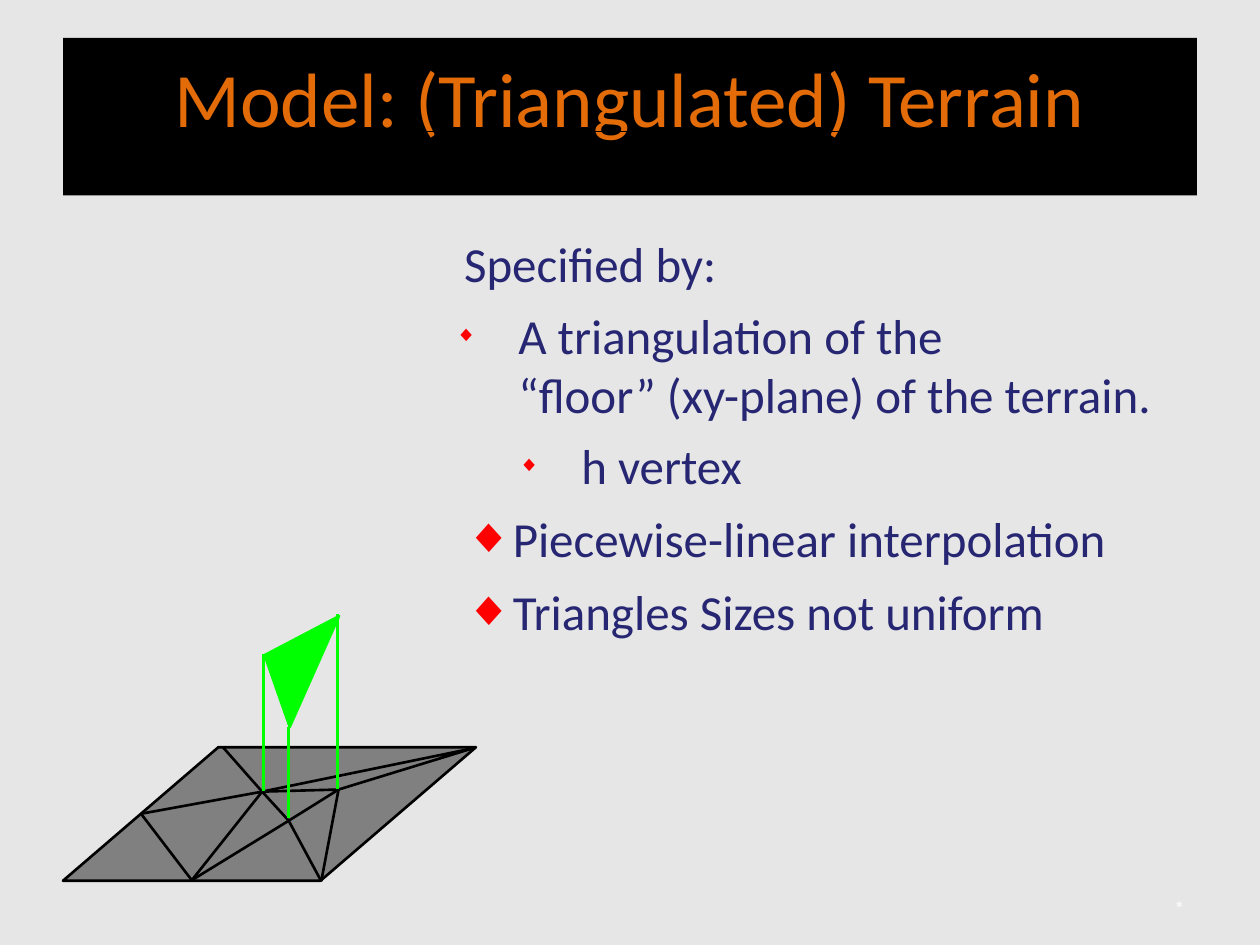
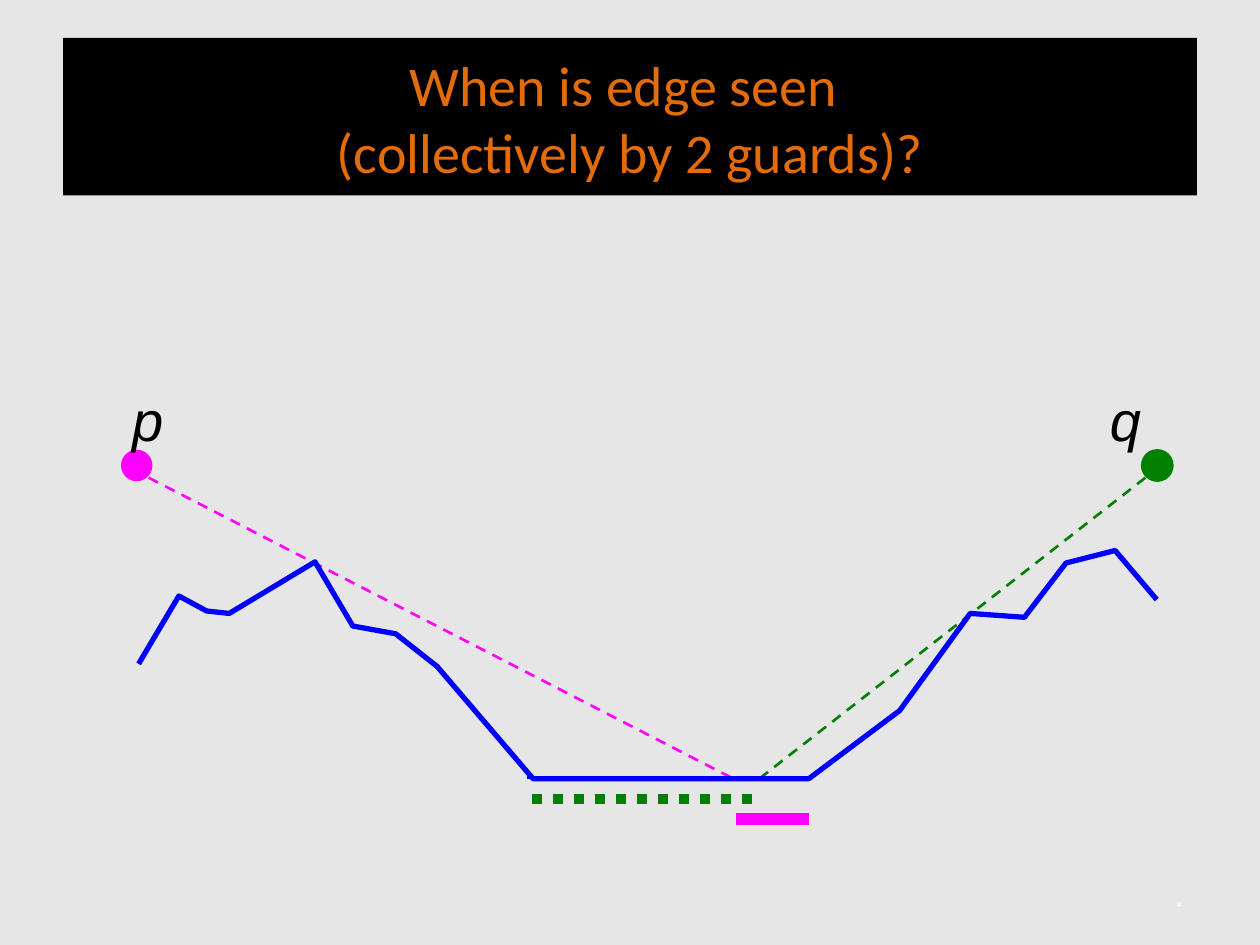
"""Two slides on triangulated terrains and the joint visibility of an edge."""
from lxml import etree
from pptx import Presentation
from pptx import util as u
from pptx.dml.color import RGBColor
from pptx.enum import dml, shapes, text
from pptx.oxml import ns

PAPER = RGBColor(0xE6, 0xE6, 0xE6)
BLACK = RGBColor(0, 0, 0)
WHITE = RGBColor(0xFF, 0xFF, 0xFF)
ORANGE = RGBColor(0xE3, 0x6C, 0x09)
NAVY = RGBColor(0x26, 0x26, 0x73)
RED = RGBColor(0xFF, 0, 0)
GREY = RGBColor(0x80, 0x80, 0x80)
LIME = RGBColor(0, 0xFF, 0)
GREEN = RGBColor(0, 0x80, 0)
MAGENTA = RGBColor(0xFF, 0, 0xFF)
BLUE = RGBColor(0, 0, 0xFF)

DASH = dml.MSO_LINE.DASH
DOT = dml.MSO_LINE.ROUND_DOT
BOX_KEYS = ("left", "top", "width", "height")
MARGINS = ("margin_left", "margin_top", "margin_right", "margin_bottom")


def write(p, words, color, **fmt):
    """Put words into a paragraph and format its runs."""
    p.text = words
    for r in p.runs:
        r.font.color.rgb = color
        for key, value in fmt.items():
            setattr(r.font, key, value)


def draw(s, pts, color, width=1.5, dash=None, fill=None, close=False):
    """Draw a connector through two points, or a freeform through more."""
    pts = [(u.Pt(x), u.Pt(y)) for x, y in pts]
    if len(pts) == 2:
        sp = s.shapes.add_connector(shapes.MSO_CONNECTOR.STRAIGHT, *pts[0], *pts[1])
        etree.SubElement(sp.line._get_or_add_ln().getparent(), ns.qn("a:effectLst"))
    else:
        fb = s.shapes.build_freeform(*pts[0])
        fb.add_line_segments(pts[1:], close=close)
        sp = fb.convert_to_shape()
        sp.shadow.inherit = False
        if fill is None:
            sp.fill.background()
        else:
            sp.fill.solid()
            sp.fill.fore_color.rgb = fill
    sp.line.color.rgb = color
    sp.line.width = u.Pt(width)
    if dash:
        sp.line.dash_style = dash


prs = Presentation()
prs.slide_width, prs.slide_height = u.Pt(720), u.Pt(540)
bg = prs.slide_master.background.fill
bg.solid()
bg.fore_color.rgb = PAPER

slides = []
for layout, title, size in (
    (1, "Model: (Triangulated) Terrain", 44),
    (5, "When is edge seen \v(collectively by 2 guards)?", 32),
):
    s = prs.slides.add_slide(prs.slide_layouts[layout])
    slides.append(s)
    sp = s.shapes.title
    for key, value in zip(BOX_KEYS, (36, 21.6, 648, 90)):
        setattr(sp, key, u.Pt(value))
    sp.fill.solid()
    sp.fill.fore_color.rgb = BLACK
    tf = sp.text_frame
    for key in MARGINS:
        setattr(tf, key, u.Pt(7.2))
    tf.vertical_anchor = text.MSO_ANCHOR.TOP
    tf.auto_size = text.MSO_AUTO_SIZE.NONE
    p = tf.paragraphs[0]
    p.alignment = text.PP_ALIGN.CENTER
    write(p, title, ORANGE, size=u.Pt(size), name="Calibri")

    tf = s.shapes.add_textbox(*map(u.Pt, (663.8, 509, 21, 20))).text_frame
    tf.word_wrap = True
    tf.vertical_anchor = text.MSO_ANCHOR.MIDDLE
    write(tf.paragraphs[0], "*", WHITE, size=u.Pt(12), name="Calibri")

s = slides[0]
sp = s.placeholders[1]
for key, value in zip(BOX_KEYS, (242, 126, 466.5, 318)):
    setattr(sp, key, u.Pt(value))
tf = sp.text_frame
for key in MARGINS:
    setattr(tf, key, u.Pt(7.2))
tf.auto_size = text.MSO_AUTO_SIZE.NONE
items = (
    ("Specified by:", 0, 16, 0, 0),
    ("A triangulation of the \v“floor” (xy-plane) of the terrain.", 0, 47, -36, 44),
    ("h vertex", 1, 83, -36, 44),
    ("Piecewise-linear interpolation", 0, 27, -11, 100),
    ("Triangles Sizes not uniform", 0, 27, -11, 100),
)
for i, (words, level, left, indent, bullet) in enumerate(items):
    p = tf.add_paragraph() if i else tf.paragraphs[0]
    write(p, words, NAVY, size=u.Pt(28), name="Calibri")
    p.level = level
    p.space_before = u.Pt(8 - level)
    pPr = p._p.get_or_add_pPr()
    pPr.set("marL", str(u.Pt(left)))
    pPr.set("indent", str(u.Pt(indent)))
    if bullet:
        clr = etree.SubElement(pPr, ns.qn("a:buClr"))
        etree.SubElement(clr, ns.qn("a:srgbClr"), val=str(RED))
        etree.SubElement(pPr, ns.qn("a:buSzPct"), val=str(bullet * 1000))
        etree.SubElement(pPr, ns.qn("a:buFont"), typeface="Arial")
        etree.SubElement(pPr, ns.qn("a:buChar"), char="◆")
    else:
        etree.SubElement(pPr, ns.qn("a:buNone"))

sp = s.shapes.add_shape(
    shapes.MSO_SHAPE.PARALLELOGRAM, *map(u.Pt, (36, 427, 236, 76.3)))
sp.adjustments[0] = 1.164
sp.shadow.inherit = False
sp.fill.solid()
sp.fill.fore_color.rgb = GREY
sp.line.color.rgb = BLACK
sp.line.width = u.Pt(1.5)

west, north, far = (80.6, 465), (127.4, 427), (270, 427.7)
south, corner = (109.6, 503), (183.6, 503.6)
hub, low, east = (149.8, 452.4), (165, 469), (193.5, 451.2)
for edge in ((west, south), (west, hub), (hub, south), (hub, north),
             (corner, low), (south, low)):
    draw(s, edge, BLACK)
draw(s, (hub, low, east), BLACK, fill=GREY, close=True)
draw(s, (corner, east, far, hub), BLACK)

for x, top, bottom in ((150.5, 373.7, 452.2), (164.9, 415.4, 467.3), (193, 350.6, 450.7)):
    draw(s, ((x, top), (x, bottom)), LIME)
draw(s, ((151.2, 374.4), (165.6, 415.4), (193.7, 352.1)), LIME, fill=LIME, close=True)

tbl = s.shapes.add_table(1, 2, *map(u.Pt, (75, 75, 570, 30.5))).table
tbl.first_row = tbl.horz_banding = False
for cell in tbl.iter_cells():
    cell.fill.background()
    tcPr = cell._tc.get_or_add_tcPr()
    for i, side in enumerate("LRTB"):
        ln = etree.Element(ns.qn("a:ln" + side), w=str(u.Pt(0.75)))
        fill = etree.SubElement(ln, ns.qn("a:solidFill"))
        etree.SubElement(fill, ns.qn("a:srgbClr"), val=str(BLACK))
        tcPr.insert(i, ln)

s = slides[1]
for x, color in ((69.1, MAGENTA), (652.3, GREEN)):
    sp = s.shapes.add_shape(shapes.MSO_SHAPE.OVAL, *map(u.Pt, (x, 257, 18, 18)))
    sp.shadow.inherit = False
    sp.fill.solid()
    sp.fill.fore_color.rgb = color
    sp.line.color.rgb = color
    sp.line.width = u.Pt(0.75)
    if color == MAGENTA:
        sp.line.fill.background()

draw(s, ((85, 273), (420.5, 445.7)), MAGENTA, dash=DASH)
draw(s, ((654.5, 273), (431.3, 447)), GREEN, dash=DASH)
draw(s, ((301, 444.2), (462.2, 444.2)), BLUE)
terrain = (
    (79.2, 379.4), (102.2, 340.6), (118.1, 349.2), (131, 350.6),
    (180, 321.1), (201.6, 357.8), (226.1, 362.2), (249.8, 380.9),
    (304.6, 445), (462.2, 445), (514.1, 406.1), (554.4, 350.6),
    (585.4, 352.8), (609.1, 321.8), (637.2, 314.6), (661, 342.7),
)
draw(s, terrain, BLUE, 3)
draw(s, ((303.8, 456.5), (434.2, 456.5)), GREEN, 6, DOT)
draw(s, ((462.2, 468), (420.5, 468)), MAGENTA, 7)

for guard, x in (("p", 68.4), ("q", 627.1)):
    tf = s.shapes.add_textbox(*map(u.Pt, (x, 216.7, 40.3, 46))).text_frame
    tf.word_wrap = False
    tf.auto_size = text.MSO_AUTO_SIZE.SHAPE_TO_FIT_TEXT
    write(tf.paragraphs[0], guard, BLACK, size=u.Pt(32), name="Arial", italic=True)

prs.save("out.pptx")
